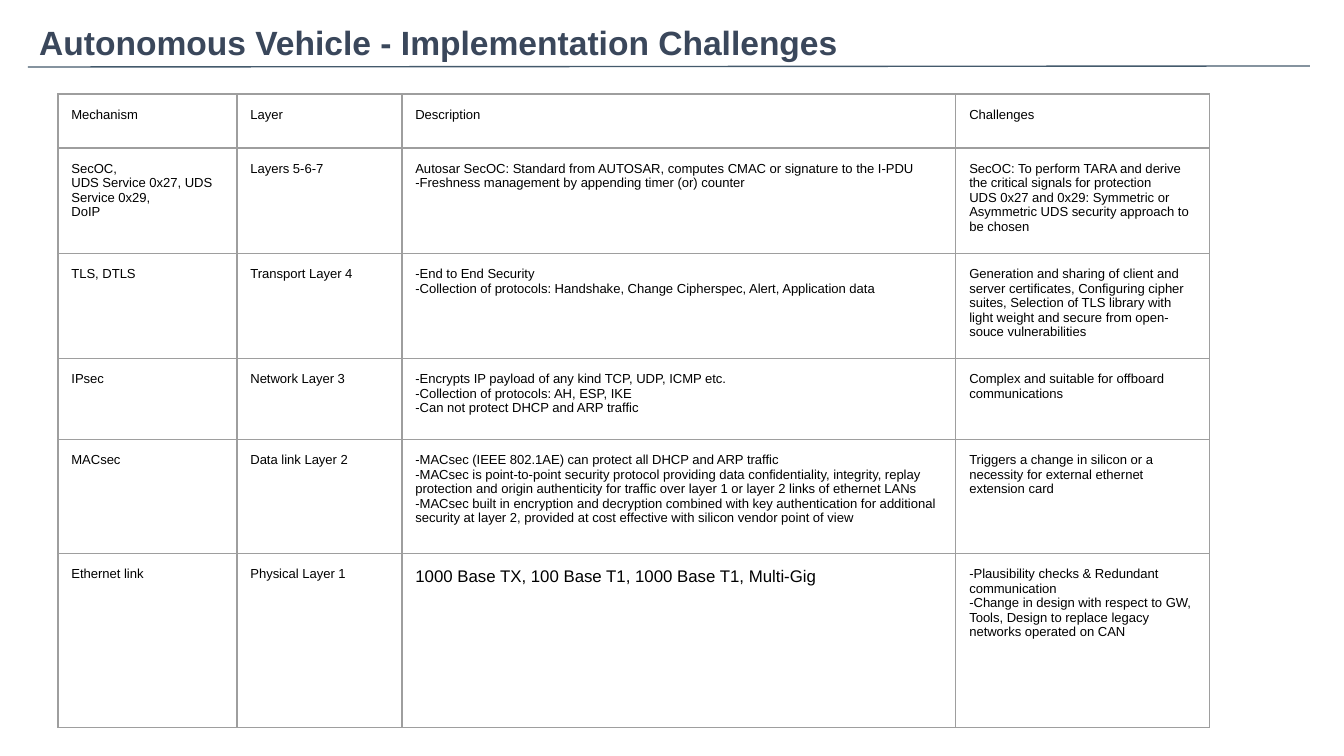
"""Build the slide on implementation challenges of autonomous vehicle security."""
import dataclasses

import lxml.etree
import pptx
import pptx.dml.color
import pptx.enum.shapes
import pptx.oxml
import pptx.oxml.ns
import pptx.util

EMU_PER_PIXEL = 914400 / 134.4
FONT = "Arial"
TITLE_COLOR = pptx.dml.color.RGBColor(0x3A, 0x47, 0x5B)
RULE_COLOR = pptx.dml.color.RGBColor(0x44, 0x5A, 0x6C)
BORDER_COLOR = pptx.dml.color.RGBColor(0x9E, 0x9E, 0x9E)
BODY_COLOR = pptx.dml.color.RGBColor(0x00, 0x00, 0x00)
THIN = pptx.util.Pt(0.75)
COLUMN_WIDTHS = (179, 165, 554, 254)


@dataclasses.dataclass(frozen=True)
class Mechanism:
    """One row of the table; newlines separate paragraphs."""
    height: int
    name: str
    layer: str
    description: str
    challenges: str
    description_size: int = 7


MECHANISMS = (
    Mechanism(54, "Mechanism", "Layer", "Description", "Challenges"),
    Mechanism(
        105, "SecOC, \nUDS Service 0x27, UDS Service 0x29,\nDoIP", "Layers 5-6-7",
        "Autosar SecOC: Standard from AUTOSAR, computes CMAC or signature to the I-PDU\n"
        "-Freshness management by appending timer (or) counter",
        "SecOC: To perform TARA and derive the critical signals for protection\n"
        "UDS 0x27 and 0x29: Symmetric or Asymmetric UDS security approach to be chosen"),
    Mechanism(
        99, "TLS, DTLS", "Transport Layer 4",
        "-End to End Security\n"
        "-Collection of protocols: Handshake, Change Cipherspec, Alert, Application data",
        "Generation and sharing of client and server certificates, Configuring cipher suites, "
        "Selection of TLS library with light weight and secure from open-souce vulnerabilities"),
    Mechanism(
        81, "IPsec", "Network Layer 3",
        "-Encrypts IP payload of any kind TCP, UDP, ICMP etc.\n"
        "-Collection of protocols: AH, ESP, IKE\n"
        "-Can not protect DHCP and ARP traffic",
        "Complex and suitable for offboard communications"),
    Mechanism(
        114, "MACsec", "Data link Layer 2",
        "-MACsec (IEEE 802.1AE) can protect all DHCP and ARP traffic\n"
        "-MACsec is point-to-point security protocol providing data confidentiality, integrity, "
        "replay protection and origin authenticity for traffic over layer 1 or layer 2 links of "
        "ethernet LANs\n"
        "-MACsec built in encryption and decryption combined with key authentication for "
        "additional security at layer 2, provided at cost effective with silicon vendor point of view",
        "Triggers a change in silicon or a necessity for external ethernet extension card"),
    Mechanism(
        174, "Ethernet link", "Physical Layer 1",
        "1000 Base TX, 100 Base T1, 1000 Base T1, Multi-Gig",
        "-Plausibility checks & Redundant communication \n"
        "-Change in design with respect to GW, Tools, Design to replace legacy networks "
        "operated on CAN",
        description_size=9),
)


def px(pixels: int) -> pptx.util.Emu:
    return pptx.util.Emu(round(pixels * EMU_PER_PIXEL))


def write(frame, text: str, size: int, color: pptx.dml.color.RGBColor, bold: bool = False) -> None:
    frame.text = text
    frame.word_wrap = True
    for paragraph in frame.paragraphs:
        paragraph.font.name = FONT
        paragraph.font.size = pptx.util.Pt(size)
        paragraph.font.bold = bold
        paragraph.font.color.rgb = color


def draw_borders(cell) -> None:
    properties = cell._tc.get_or_add_tcPr()
    for position, side in enumerate(("lnL", "lnR", "lnT", "lnB")):
        border = pptx.oxml.parse_xml(
            f'<a:{side} {pptx.oxml.ns.nsdecls("a")} w="{THIN}"><a:solidFill>'
            f'<a:srgbClr val="{BORDER_COLOR}"/></a:solidFill></a:{side}>')
        properties.insert(position, border)


def add_title(slide) -> None:
    title = slide.shapes.add_textbox(px(26), px(9), px(974), px(47))
    write(title.text_frame, "Autonomous Vehicle - Implementation Challenges", 18, TITLE_COLOR, True)
    title.text_frame.paragraphs[0].line_spacing = 1.15


def add_title_rule(slide) -> None:
    rule = slide.shapes.add_connector(
        pptx.enum.shapes.MSO_CONNECTOR.STRAIGHT, px(28), px(67), px(1310), px(66))
    rule.line.color.rgb = RULE_COLOR
    rule.line.width = THIN
    lxml.etree.SubElement(rule._element.spPr, pptx.oxml.ns.qn("a:effectLst"))


def add_mechanism_table(slide) -> None:
    table = slide.shapes.add_table(
        len(MECHANISMS), len(COLUMN_WIDTHS), px(58), px(94),
        px(sum(COLUMN_WIDTHS)), px(sum(row.height for row in MECHANISMS))).table
    table.first_row = table.horz_banding = False
    for column, width in zip(table.columns, COLUMN_WIDTHS):
        column.width = px(width)
    for row, mechanism in zip(table.rows, MECHANISMS):
        row.height = px(mechanism.height)
        entries = (
            (mechanism.name, 7), (mechanism.layer, 7),
            (mechanism.description, mechanism.description_size), (mechanism.challenges, 7))
        for cell, (text, size) in zip(row.cells, entries):
            cell.margin_left = cell.margin_right = pptx.util.Inches(0.1)
            cell.margin_top = cell.margin_bottom = pptx.util.Inches(0.1)
            cell.fill.background()
            write(cell.text_frame, text, size, BODY_COLOR)
            draw_borders(cell)


def main() -> None:
    presentation = pptx.Presentation()
    presentation.slide_width = px(1344)
    presentation.slide_height = px(756)
    slide = presentation.slides.add_slide(presentation.slide_layouts[6])
    add_title(slide)
    add_title_rule(slide)
    add_mechanism_table(slide)
    presentation.save("out.pptx")


main()
